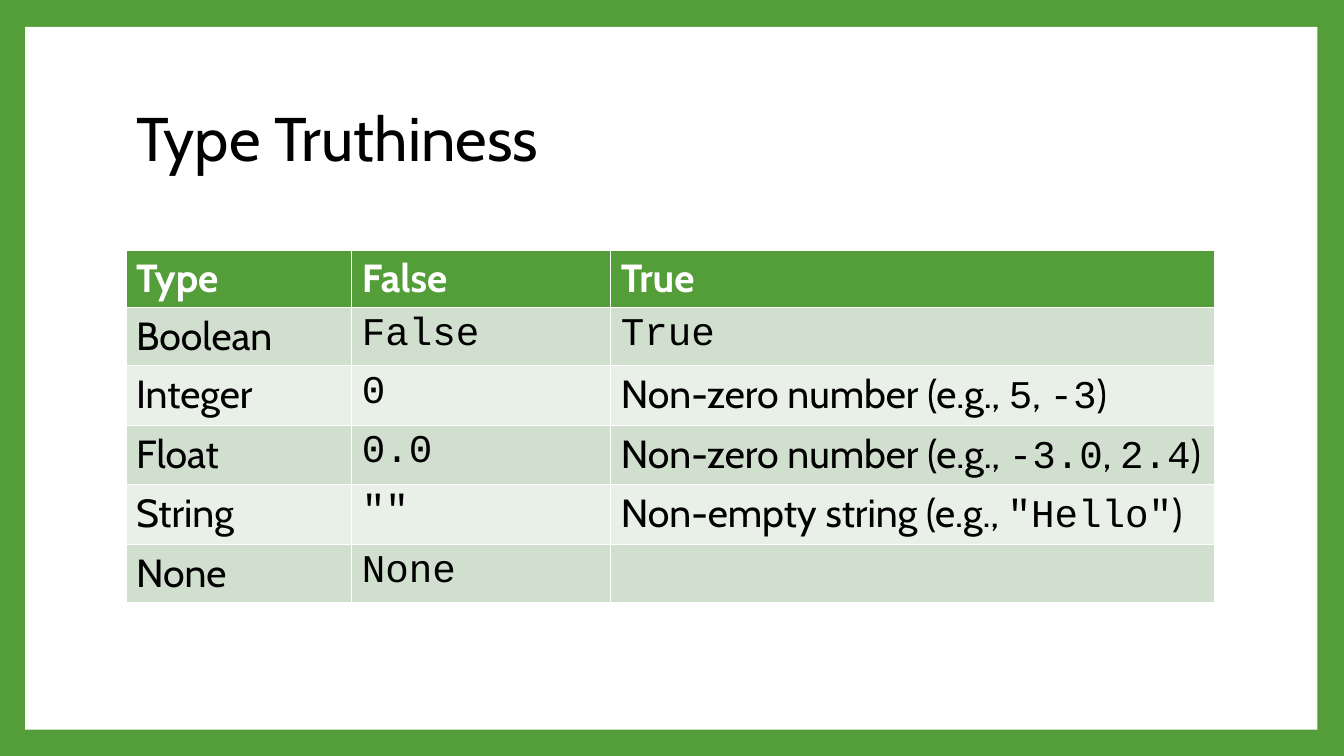
from pptx import Presentation
from pptx.dml.color import RGBColor
from pptx.enum import shapes, text
from pptx.util import Pt

GREEN = RGBColor(0x54, 0x9E, 0x39)
WHITE = RGBColor(0xFF, 0xFF, 0xFF)
BLACK = RGBColor(0, 0, 0)
BANDS = [RGBColor(0xE9, 0xF0, 0xE8), RGBColor(0xD1, 0xDF, 0xCE)]

# Backticks enclose code
ROWS = [
    ("Type", "False", "True"),
    ("Boolean", "`False`", "`True`"),
    ("Integer", "`0`", "Non-zero number (e.g., `5`, `-3`)"),
    ("Float", "`0.0`", "Non-zero number (e.g., `-3.0`, `2.4`)"),
    ("String", '`""`', 'Non-empty string (e.g., `"Hello"`)'),
    ("None", "`None`", ""),
]
COLUMN_WIDTHS = [161.3, 185, 431.3]
ROW_HEIGHT = 29.5

prs = Presentation()
prs.slide_width, prs.slide_height = Pt(960), Pt(540)
slide = prs.slides.add_slide(prs.slide_layouts[5])
title = slide.shapes.title

# Green frame around a white panel, behind the title
slide.background.fill.solid()
slide.background.fill.fore_color.rgb = GREEN
panel = slide.shapes.add_shape(shapes.MSO_SHAPE.RECTANGLE,
                               Pt(18), Pt(19.2), Pt(923), Pt(502))
panel.shadow.inherit = False
panel.fill.solid()
panel.fill.fore_color.rgb = WHITE
panel.line.fill.background()
title._element.addprevious(panel._element)

# Title
title.left, title.top, title.width, title.height = Pt(90), Pt(48), Pt(777.6), Pt(106.5)
title.text_frame.text = "Type Truthiness"
title.text_frame.auto_size = text.MSO_AUTO_SIZE.NONE
title.text_frame.vertical_anchor = text.MSO_ANCHOR.MIDDLE
heading = title.text_frame.paragraphs[0]
heading.alignment = text.PP_ALIGN.LEFT
heading.line_spacing = 0.9
heading_font = heading.runs[0].font
heading_font.name, heading_font.size = "Cabin", Pt(44)
heading_font.color.rgb = BLACK

# Truthiness table
truthiness = slide.shapes.add_table(
    len(ROWS), len(COLUMN_WIDTHS), Pt(90), Pt(178.6),
    Pt(sum(COLUMN_WIDTHS)), Pt(ROW_HEIGHT * len(ROWS))).table
for column, width in zip(truthiness.columns, COLUMN_WIDTHS):
    column.width = Pt(width)

for r, row in enumerate(ROWS):
    truthiness.rows[r].height = Pt(ROW_HEIGHT)
    for c, content in enumerate(row):
        cell = truthiness.cell(r, c)
        cell.fill.solid()
        cell.fill.fore_color.rgb = BANDS[r % 2] if r else GREEN
        for i, part in enumerate(content.split("`")):
            if not part:
                continue
            run = cell.text_frame.paragraphs[0].add_run()
            run.text = part
            run.font.name = "Courier New" if i % 2 else "Cabin"
            run.font.size = Pt(28)
            run.font.bold = r == 0
            run.font.color.rgb = BLACK if r else WHITE

prs.save("out.pptx")
